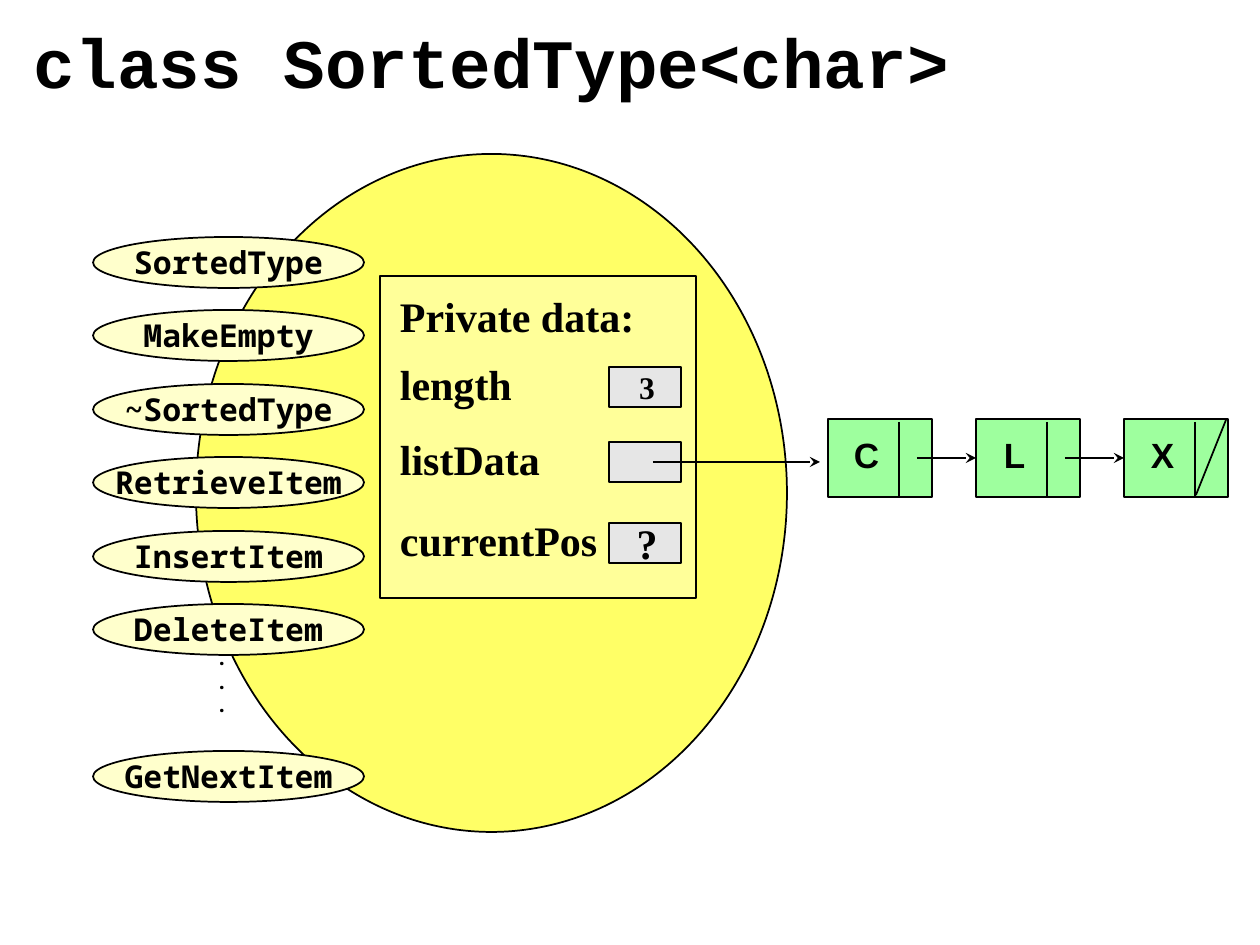
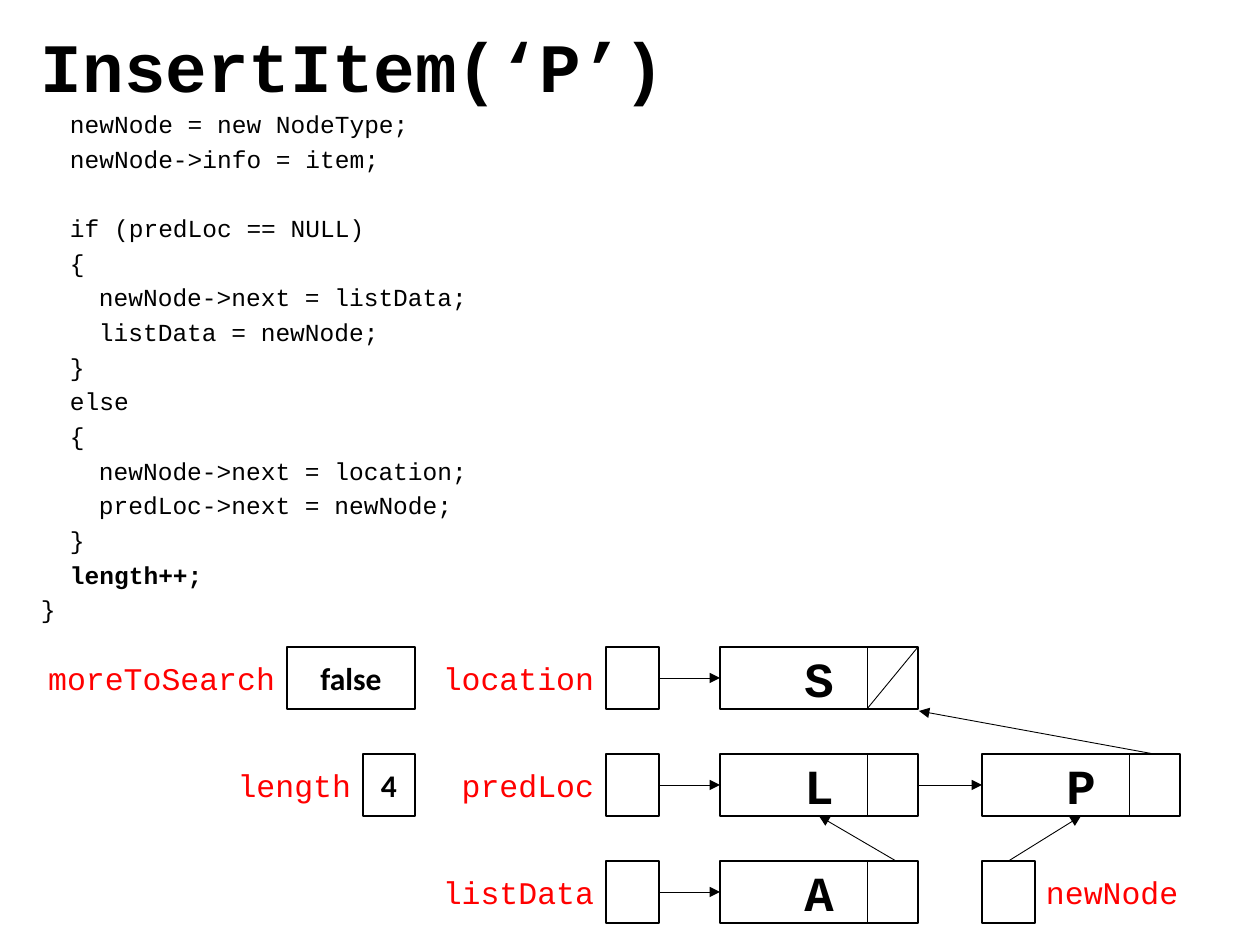
from lxml.etree import SubElement
from pptx import Presentation
from pptx.dml.color import RGBColor
from pptx.enum.shapes import MSO_CONNECTOR, MSO_SHAPE
from pptx.enum.text import MSO_ANCHOR, MSO_AUTO_SIZE, PP_ALIGN
from pptx.oxml.ns import qn
from pptx.util import Emu, Inches, Pt

BLACK = RGBColor(0x00, 0x00, 0x00)
RED = RGBColor(0xFF, 0x00, 0x00)
YELLOW = RGBColor(0xFF, 0xFF, 0x66)
CREAM = RGBColor(0xFF, 0xFF, 0xCC)
PALE_YELLOW = RGBColor(0xFF, 0xFF, 0x99)
GREY = RGBColor(0xE6, 0xE6, 0xE6)
GREEN = RGBColor(0x9E, 0xFF, 0x9E)

CODE_FONT = "Courier New"
METHOD_FONT = "Noto Sans Mono"
DATA_FONT = "Times New Roman"
TOP, LEFT, BOTTOM, RIGHT = range(4)

METHODS = {0: "SortedType", 1: "MakeEmpty", 2: "~SortedType", 3: "RetrieveItem",
           4: "InsertItem", 5: "DeleteItem", 7: "GetNextItem"}
CODE = [
    (1, "newNode = new NodeType;"),
    (1, "newNode->info = item;"),
    (1, "if (predLoc == NULL)"),
    (1, "{"),
    (2, "newNode->next = listData;"),
    (2, "listData = newNode;"),
    (1, "}"),
    (1, "else"),
    (1, "{"),
    (2, "newNode->next = location;"),
    (2, "predLoc->next = newNode;"),
    (1, "}"),
    (1, "length++;"),
    (0, "}"),
]


def px(length):
    """Turn pixels into EMU."""
    return Emu(round(length * 914400 / 126))


def place(shape, left, top, width, height):
    """Move and size a shape."""
    shape.left, shape.top, shape.width, shape.height = map(px, (left, top, width, height))


def write(shape, text, font=CODE_FONT, size=18, bold=True, color=BLACK,
          align=PP_ALIGN.CENTER, anchor=MSO_ANCHOR.MIDDLE, wrap=True,
          margins=(0, 0, 0, 0)):
    """Fill a shape with formatted text, one paragraph a line; return the paragraphs."""
    frame = shape.text_frame
    frame.text = text
    frame.auto_size = MSO_AUTO_SIZE.NONE
    frame.word_wrap = wrap
    frame.vertical_anchor = anchor
    (frame.margin_left, frame.margin_top,
     frame.margin_right, frame.margin_bottom) = map(px, margins)
    for para in frame.paragraphs:
        para.alignment = align
        for span in para.runs:
            span.font.name = font
            span.font.size = Pt(size)
            span.font.bold = bold
            span.font.color.rgb = color
    return frame.paragraphs


def add_text(page, text, left, top, width, height, **style):
    """Add a text box."""
    box = page.shapes.add_textbox(px(left), px(top), px(width), px(height))
    return write(box, text, **style)


def add_box(page, left, top, width, height, fill=None, kind=MSO_SHAPE.RECTANGLE):
    """Add an outlined preset shape."""
    box = page.shapes.add_shape(kind, px(left), px(top), px(width), px(height))
    box.shadow.inherit = False
    if fill is None:
        box.fill.background()
    else:
        box.fill.solid()
        box.fill.fore_color.rgb = fill
    box.line.color.rgb = BLACK
    box.line.width = Pt(1)
    return box


def add_line(page, start, end, weight=0.5, arrow=None):
    """Add a line between points, or between (shape, side) joints."""
    points = [(0, 0) if hasattr(joint[0], "shape_type") else joint
              for joint in (start, end)]
    line = page.shapes.add_connector(
        MSO_CONNECTOR.STRAIGHT, *(px(value) for point in points for value in point))
    if hasattr(start[0], "shape_type"):
        line.begin_connect(*start)
    if hasattr(end[0], "shape_type"):
        line.end_connect(*end)
    line.line.color.rgb = BLACK
    line.line.width = Pt(weight)
    properties = line._element.spPr
    if arrow:
        SubElement(properties.find(qn("a:ln")), qn("a:tailEnd"), type=arrow)
    SubElement(properties, qn("a:effectLst"))


def set_title(page, text, *bounds):
    """Place and format the slide title."""
    place(page.shapes.title, *bounds)
    write(page.shapes.title, text, size=39.6, align=PP_ALIGN.LEFT,
          anchor=MSO_ANCHOR.TOP, margins=(13, 0, 13, 0))


def add_methods(page, left, top):
    """Stack the method ovals, with dots in the empty slot."""
    for slot, name in METHODS.items():
        oval = add_box(page, left, top + 147 * slot // 2, 271, 51, CREAM, MSO_SHAPE.OVAL)
        write(oval, name, font=METHOD_FONT, wrap=False, margins=(0, 0, 0, 2))
    for para in add_text(page, ".\n.\n.", left + 119, top + 409, 20, 72,
                         font=METHOD_FONT, size=11, anchor=MSO_ANCHOR.TOP):
        para.line_spacing = Pt(13.5)


def add_private_data(page, left, top):
    """Draw the panel of private members and their values."""
    add_box(page, left, top, 316, 322, PALE_YELLOW)
    rows = [(43, "Private data:", None, 0), (111, "length", "3", 18),
            (186, "listData", "", 18), (267, "currentPos", "?", 24)]
    for middle, name, value, size in rows:
        add_text(page, name, left + 20, top + middle - 27, 240, 48,
                 font=DATA_FONT, size=24, align=PP_ALIGN.LEFT, wrap=False)
        if value is not None:
            cell = add_box(page, left + 229, top + middle - 20, 72, 40, GREY)
            write(cell, value, font=DATA_FONT, size=size, margins=(4, 0, 0, 0))
    add_line(page, (left + 273, top + 186), (left + 440, top + 186), 1, "stealth")


def add_char_list(page, left, top):
    """Draw the linked list of green nodes."""
    previous = None
    for index, letter in enumerate("CLX"):
        start = left + 148 * index
        node = add_box(page, start, top, 104, 78, GREEN)
        write(node, letter, font="Arial", size=20, margins=(0, 0, 27, 6))
        add_line(page, (start + 71, top + 3), (start + 71, top + 78), 1)
        if previous:
            add_line(page, (start - 59, top + 39), (node, LEFT), 1, "stealth")
        previous = node
    add_line(page, (start + 102, top + 1), (start + 72, top + 76), 1)


def build_class_page(deck):
    """Build the class diagram slide."""
    page = deck.slides.add_slide(deck.slide_layouts[5])
    set_title(page, "class SortedType<char>", 21, 19, 1212, 93)
    add_box(page, 196, 154, 591, 678, YELLOW, MSO_SHAPE.OVAL)
    add_methods(page, 93, 237)
    add_private_data(page, 380, 276)
    add_char_list(page, 828, 419)


def set_code(body, *bounds):
    """Place the code listing in the body placeholder."""
    place(body, *bounds)
    paras = write(body, "\n".join(text for _, text in CODE), size=14, bold=False,
                  align=PP_ALIGN.LEFT, anchor=MSO_ANCHOR.TOP, margins=(13, 6, 13, 6))
    for para, (level, text) in zip(paras, CODE):
        para.line_spacing = Pt(16.8)
        para.space_before = Pt(22.8 if text.startswith("if") else 3)
        para.runs[0].font.bold = text == "length++;"
        properties = para._p.get_or_add_pPr()
        properties.set("marL", str(px(29 * level)))
        properties.set("indent", "0")
        SubElement(properties, qn("a:buNone"))


def add_variable(page, name, left, top, width=53, value="", label_right=False):
    """Draw a variable's cell with its red name beside it."""
    cell = add_box(page, left, top, width, 62)
    write(cell, value, font="Calibri")
    label_left = left + width + 11 if label_right else left - 272
    add_text(page, name, label_left, top + 7, 260, 48, bold=False, color=RED,
             align=PP_ALIGN.LEFT if label_right else PP_ALIGN.RIGHT)
    return cell


def add_node(page, letter, left, top):
    """Draw a node with its letter and link field."""
    node = add_box(page, left, top, 198, 62)
    write(node, letter, size=28)
    add_line(page, (left + 147, top), (left + 147, top + 62))
    return node


def add_memory(page, left, top):
    """Draw the variables, the nodes and the pointers between them."""
    rows = [top + 107 * index for index in range(3)]
    add_variable(page, "moreToSearch", left, rows[0], 128, "false")
    add_variable(page, "length", left + 76, rows[1], 52, "4")
    nodes = []
    for row, name, letter in zip(rows, ("location", "predLoc", "listData"), "SLA"):
        cell = add_variable(page, name, left + 319, row)
        nodes.append(add_node(page, letter, left + 433, row))
        add_line(page, (cell, RIGHT), (nodes[-1], LEFT), arrow="triangle")
    added = add_node(page, "P", left + 695, rows[1])
    pointer = add_variable(page, "newNode", left + 695, rows[2], label_right=True)
    add_line(page, (left + 631, top), (left + 580, top + 62))
    add_line(page, (nodes[1], RIGHT), (added, LEFT), arrow="triangle")
    add_line(page, (pointer, TOP), (added, BOTTOM), arrow="triangle")
    add_line(page, (left + 609, rows[2]), (nodes[1], BOTTOM), arrow="triangle")
    add_line(page, (left + 867, rows[1]), (left + 632, top + 64), arrow="triangle")


def build_insert_page(deck):
    """Build the insertion slide."""
    page = deck.slides.add_slide(deck.slide_layouts[1])
    set_title(page, "InsertItem(‘P’)", 28, 23, 1058, 79)
    set_code(page.placeholders[1], 28, 103, 858, 540)
    add_memory(page, 287, 647)


def main():
    """Build and save the deck."""
    deck = Presentation()
    deck.slide_width, deck.slide_height = Inches(10), Inches(7.5)
    build_class_page(deck)
    build_insert_page(deck)
    deck.save("out.pptx")


if __name__ == "__main__":
    main()
